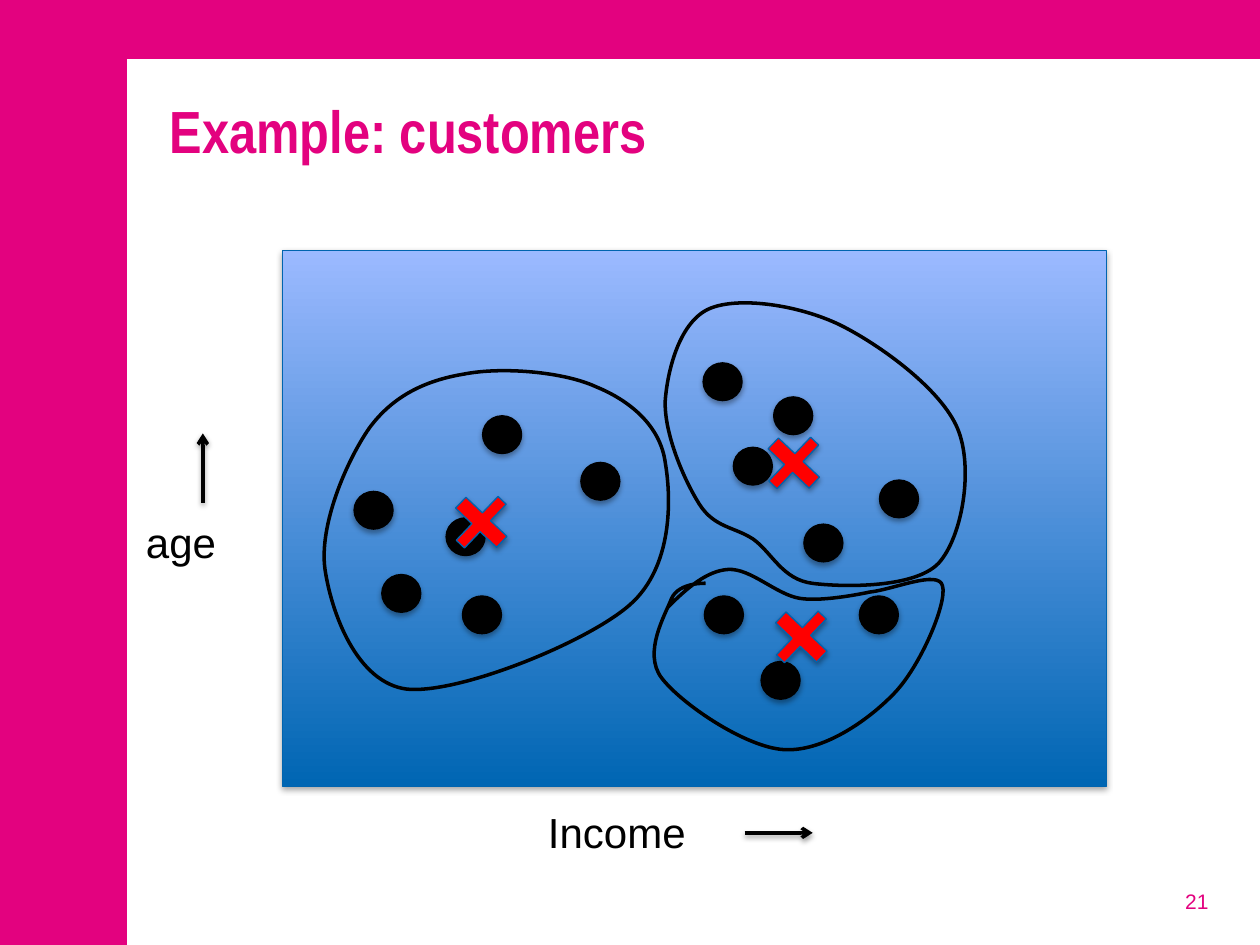
from dataclasses import dataclass

from lxml import etree
from pptx import Presentation
from pptx.dml.color import RGBColor
from pptx.enum.shapes import MSO_CONNECTOR, MSO_SHAPE
from pptx.enum.text import MSO_ANCHOR, PP_ALIGN
from pptx.oxml.ns import qn
from pptx.util import Inches, Pt

RECTANGLE, OVAL, PLUS = MSO_SHAPE.RECTANGLE, MSO_SHAPE.OVAL, MSO_SHAPE.CROSS
STRAIGHT = MSO_CONNECTOR.STRAIGHT
LEFT, RIGHT = PP_ALIGN.LEFT, PP_ALIGN.RIGHT
TOP, MIDDLE = MSO_ANCHOR.TOP, MSO_ANCHOR.MIDDLE

PINK, WHITE, BLACK, RED = "E3027F", "FFFFFF", "000000", "FF0000"
LIGHT_BLUE, DARK_BLUE, EDGE_BLUE = "9BB9FF", "0066B3", "0064AF"


@dataclass
class Outline:
    """A cluster outline: start point, then three points per Bezier curve."""
    start: tuple
    curves: list
    closed: bool = True


CUSTOMERS = [
    (3.03, 4.56), (2.81, 3.9), (3.83, 3.3), (3.54, 4.11), (3.67, 4.73),
    (5.58, 2.88), (4.61, 3.67), (6.14, 3.15), (5.82, 3.55), (6.38, 4.16),
    (6.98, 3.81), (6.82, 4.73), (5.59, 4.73), (6.04, 5.25),
]
CENTROIDS = [(3.58, 3.92), (6.06, 3.45), (6.12, 4.83)]
OUTLINES = [
    Outline((4.73, 3.07), [
        [(5, 3.18), (5.24, 3.38), (5.28, 3.67)],
        [(5.33, 3.96), (5.34, 4.5), (5, 4.8)],
        [(4.66, 5.1), (3.64, 5.51), (3.23, 5.47)],
        [(2.83, 5.42), (2.63, 4.86), (2.58, 4.52)],
        [(2.53, 4.17), (2.75, 3.66), (2.93, 3.4)],
        [(3.12, 3.14), (3.38, 3.02), (3.68, 2.97)],
        [(3.98, 2.91), (4.47, 2.95), (4.73, 3.07)],
    ]),
    Outline((5.98, 4.28), [
        [(6.13, 4.39), (6.21, 4.6), (6.45, 4.63)],
        [(6.69, 4.66), (7.26, 4.67), (7.45, 4.47)],
        [(7.64, 4.26), (7.73, 3.71), (7.6, 3.4)],
        [(7.47, 3.09), (6.99, 2.74), (6.67, 2.58)],
        [(6.34, 2.42), (5.86, 2.35), (5.63, 2.45)],
        [(5.4, 2.55), (5.3, 2.92), (5.28, 3.18)],
        [(5.27, 3.44), (5.43, 3.81), (5.55, 4)],
        [(5.67, 4.19), (5.83, 4.18), (5.98, 4.28)],
    ]),
    Outline((5.3, 4.82), [
        [(5.45, 4.67), (5.61, 4.53), (5.78, 4.52)],
        [(5.96, 4.51), (6.16, 4.72), (6.35, 4.75)],
        [(6.54, 4.78), (6.9, 4.7), (6.9, 4.7)],
        [(7.09, 4.68), (7.45, 4.52), (7.48, 4.65)],
        [(7.52, 4.78), (7.31, 5.28), (7.1, 5.5)],
        [(6.89, 5.72), (6.53, 5.97), (6.22, 5.95)],
        [(5.91, 5.93), (5.4, 5.58), (5.25, 5.38)],
        [(5.1, 5.18), (5.28, 4.88), (5.33, 4.75)],
        [(5.39, 4.62), (5.6, 4.63), (5.6, 4.63)],
    ], closed=False),
]


def color(hex_code: str) -> RGBColor:
    return RGBColor.from_string(hex_code)


def in_inches(values: tuple) -> tuple:
    return tuple(Inches(value) for value in values)


def set_line(line, hex_code: str, width: float) -> None:
    line.color.rgb = color(hex_code)
    line.width = Pt(width)


def add_shadow(shape, opacity: int, distance: float) -> None:
    """Soft shadow straight below; called once fill and line are set."""
    effects = etree.SubElement(shape._element.spPr, qn("a:effectLst"))
    shadow = etree.SubElement(
        effects, qn("a:outerShdw"), blurRad=str(Pt(3.1)),
        dist=str(Pt(distance)), dir="5400000", rotWithShape="0")
    black = etree.SubElement(shadow, qn("a:srgbClr"), val=BLACK)
    etree.SubElement(black, qn("a:alpha"), val=str(opacity * 1000))


def add_text(slide, text: str, left: float, top: float, width: float,
             height: float, *, size: float, hex_code: str = BLACK,
             font: str = "Arial", bold: bool = False, align=LEFT,
             anchor=TOP) -> None:
    box = slide.shapes.add_textbox(*in_inches((left, top, width, height)))
    frame = box.text_frame
    frame.word_wrap = True
    frame.vertical_anchor = anchor
    paragraph = frame.paragraphs[0]
    paragraph.alignment = align
    run = paragraph.add_run()
    run.text = text
    run.font.name, run.font.size, run.font.bold = font, Pt(size), bold
    run.font.color.rgb = color(hex_code)


def add_shape(slide, kind, left: float, top: float, width: float,
              height: float, *, fill: str | tuple, line: str | None = None):
    """A pair of fill colours makes a gradient running from bottom to top."""
    shape = slide.shapes.add_shape(kind, *in_inches((left, top, width, height)))
    if isinstance(fill, tuple):
        shape.fill.gradient()
        shape.fill.gradient_angle = 90
        for position, stop in enumerate(shape.fill.gradient_stops):
            stop.position = position
            stop.color.rgb = color(fill[position])
    else:
        shape.fill.solid()
        shape.fill.fore_color.rgb = color(fill)
    if line:
        set_line(shape.line, line, 0.75)
        add_shadow(shape, 35, 1.8)
    else:
        shape.line.fill.background()
        shape.shadow.inherit = False
    return shape


def add_arrow(slide, start: tuple, end: tuple) -> None:
    arrow = slide.shapes.add_connector(STRAIGHT, *in_inches(start + end))
    set_line(arrow.line, BLACK, 2)
    etree.SubElement(arrow.line._get_or_add_ln(), qn("a:tailEnd"), type="arrow")
    add_shadow(arrow, 38, 1.6)


def add_outline(slide, outline: Outline) -> None:
    builder = slide.shapes.build_freeform(*in_inches(outline.start))
    points = [in_inches(point) for curve in outline.curves for point in curve]
    builder.add_line_segments(points, close=outline.closed)
    shape = builder.convert_to_shape()
    # Turn every three straight segments into one Bezier curve
    segments = list(shape._element.iter(qn("a:lnTo")))
    for first in range(0, len(segments), 3):
        curve = etree.Element(qn("a:cubicBezTo"))
        segments[first].addprevious(curve)
        for segment in segments[first:first + 3]:
            curve.append(segment[0])
            segment.getparent().remove(segment)
    shape.fill.background()
    set_line(shape.line, BLACK, 2)
    shape.shadow.inherit = False


def main() -> None:
    presentation = Presentation()
    presentation.slide_width, presentation.slide_height = Inches(10), Inches(7.5)
    slide = presentation.slides.add_slide(presentation.slide_layouts[6])

    # Pink frame, white page, title and page number
    slide.background.fill.solid()
    slide.background.fill.fore_color.rgb = color(PINK)
    add_shape(slide, RECTANGLE, 1.01, 0.47, 8.99, 7.03, fill=WHITE)
    add_text(slide, "Example: customers", 1.25, 0.7, 8.44, 1.34, size=34,
             hex_code=PINK, font="Arial Narrow", bold=True)
    add_text(slide, "21", 7.36, 6.95, 2.33, 0.4, size=12, hex_code=PINK,
             align=RIGHT, anchor=MIDDLE)

    # Plot area and axes
    add_shape(slide, RECTANGLE, 2.24, 1.99, 6.54, 4.25,
              fill=(DARK_BLUE, LIGHT_BLUE), line=EDGE_BLUE)
    add_text(slide, "Income", 4.25, 6.35, 3.31, 0.5, size=24)
    add_text(slide, "age", 1.06, 4.05, 1.65, 0.91, size=24)
    add_arrow(slide, (1.61, 3.99), (1.61, 3.44))
    add_arrow(slide, (5.91, 6.61), (6.45, 6.61))

    # Customers, cluster centroids and cluster outlines
    for left, top in CUSTOMERS:
        add_shape(slide, OVAL, left, top, 0.31, 0.3, fill=BLACK, line=BLACK)
    for left, top in CENTROIDS:
        cross = add_shape(slide, PLUS, left, top, 0.48, 0.45, fill=RED,
                          line=EDGE_BLUE)
        cross.adjustments[0] = 0.4
        cross.rotation = 313.7
    for outline in OUTLINES:
        add_outline(slide, outline)

    presentation.save("out.pptx")


if __name__ == "__main__":
    main()
